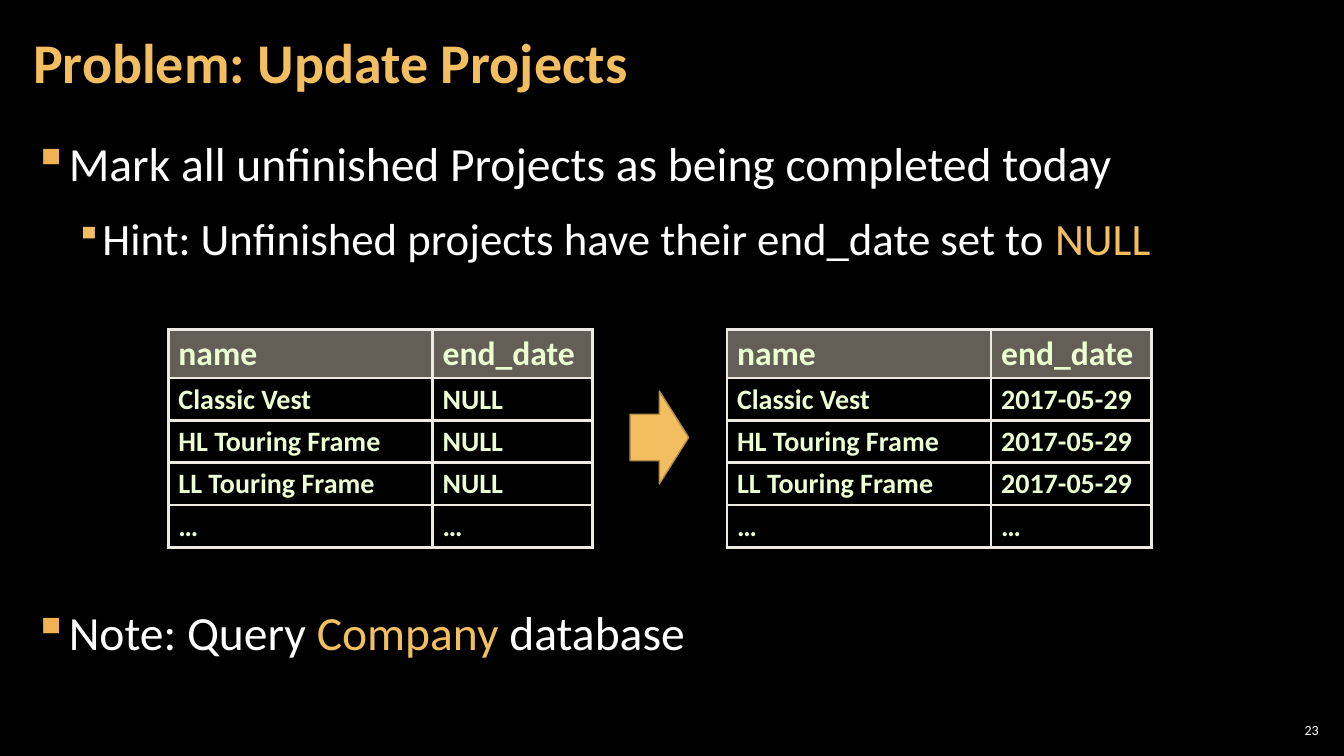
import pptx
import pptx.util
import pptx.dml.color
import pptx.enum.shapes
import pptx.enum.text
import pptx.oxml
import pptx.oxml.ns
from pptx.util import Inches, Pt

FONT = "Calibri"
GOLD, WHITE, PALE = "F3BE60", "FFFFFF", "EBFFD2"
EDGE, HEAD = "ECEAE3", "C7BFAC"
NAMES = ["Classic Vest", "HL Touring Frame", "LL Touring Frame"]


def color(code):
    return pptx.dml.color.RGBColor.from_string(code)


def node(xml):
    """Parse one DrawingML element written with the a: prefix."""
    space = pptx.oxml.ns.nsdecls("a")
    return pptx.oxml.parse_xml(xml.replace(" ", f" {space} ", 1))


def add_run(para, text, size, code, bold=False):
    run = para.add_run()
    run.text = text
    font = run.font
    font.name, font.size, font.bold = FONT, Pt(size), bold
    font.color.rgb = color(code)


def add_box(slide, left, top, width, height, side, anchor):
    box = slide.shapes.add_textbox(
        Inches(left), Inches(top), Inches(width), Inches(height))
    frame = box.text_frame
    frame.word_wrap = True
    frame.vertical_anchor = anchor
    frame.margin_left = frame.margin_right = Inches(side)
    frame.margin_top = frame.margin_bottom = Inches(0.04)
    return frame


def add_point(para, runs, size, before, level=0):
    """Fill a bulleted paragraph with (text, color) runs."""
    left, hang, tint, scale = [
        (0.33, 0.33, "F2B254", 100), (0.67, 0.25, GOLD, 80)][level]
    para.level = level
    para.line_spacing = 1.05
    para.space_before, para.space_after = Pt(before), Pt(6)
    props = para._p.get_or_add_pPr()
    props.set("marL", str(Inches(left)))
    props.set("indent", str(-Inches(hang)))
    props.append(node(f'<a:buClr ><a:srgbClr val="{tint}"/></a:buClr>'))
    props.append(node(f'<a:buSzPct val="{scale * 1000}"/>'))
    props.append(node('<a:buChar char="▪"/>'))
    for text, code in runs:
        add_run(para, text, size, code)


def style_cell(cell, text, top):
    """Write one cell; top marks the header row."""
    para = cell.text_frame.paragraphs[0]
    para.line_spacing = 0.95
    add_run(para, text, 24 if top else 20, PALE, True)
    props = cell._tc.get_or_add_tcPr()
    for side in "LRTB":
        props.append(node(
            f'<a:ln{side} w="{Pt(2.25)}"><a:solidFill>'
            f'<a:srgbClr val="{EDGE}"/></a:solidFill></a:ln{side}>'))
    if top:
        props.append(node(
            f'<a:solidFill ><a:srgbClr val="{HEAD}">'
            '<a:alpha val="50000"/></a:srgbClr></a:solidFill>'))
    else:
        props.append(node("<a:noFill />"))


def add_grid(slide, left, dates):
    rows = [("name", "end_date"), *zip(NAMES, dates), ("…", "…")]
    table = slide.shapes.add_table(
        len(rows), 2, Inches(left), Inches(3.27),
        Inches(4.21), Inches(2.16)).table
    table.horz_banding = False
    for col, width in zip(table.columns, (2.62, 1.59)):
        col.width = Inches(width)
    for i, texts in enumerate(rows):
        table.rows[i].height = Inches(0.42 if i else 0.48)
        for j, text in enumerate(texts):
            style_cell(table.cell(i, j), text, i == 0)


def add_arrow(slide):
    arrow = slide.shapes.add_shape(
        pptx.enum.shapes.MSO_SHAPE.RIGHT_ARROW,
        Inches(6.25), Inches(3.88), Inches(0.58), Inches(0.92))
    arrow.shadow.inherit = False
    arrow.fill.solid()
    arrow.fill.fore_color.rgb = color(GOLD)
    arrow.line.color.rgb = color("B48D47")
    arrow.line.width = Pt(1)


def main():
    deck = pptx.Presentation()
    deck.slide_width, deck.slide_height = Inches(13.33), Inches(7.5)
    slide = deck.slides.add_slide(deck.slide_layouts[6])
    slide.background.fill.solid()
    slide.background.fill.fore_color.rgb = color("000000")
    anchor = pptx.enum.text.MSO_ANCHOR

    title = add_box(slide, 0.21, 0.04, 10.47, 1.21, 0.12, anchor.MIDDLE)
    title.paragraphs[0].line_spacing = 0.9
    add_run(title.paragraphs[0], "Problem: Update Projects", 40, GOLD, True)

    body = add_box(slide, 0.21, 1.26, 12.91, 6.09, 0.12, anchor.TOP)
    add_point(body.paragraphs[0], [
        ("Mark all unfinished Projects as being completed today", WHITE),
    ], 34, 0)
    add_point(body.add_paragraph(), [
        ("Hint: Unfinished projects have their end_date set to ", WHITE),
        ("NULL", GOLD),
    ], 32, 6, level=1)
    add_point(body.add_paragraph(), [
        ("Note: Query ", WHITE), ("Company", GOLD), (" database", WHITE),
    ], 34, 234)

    add_grid(slide, 1.67, ["NULL"] * len(NAMES))
    add_grid(slide, 7.21, ["2017-05-29"] * len(NAMES))
    add_arrow(slide)

    number = add_box(slide, 12.65, 7.14, 0.47, 0.21, 0.04, anchor.MIDDLE)
    number.paragraphs[0].alignment = pptx.enum.text.PP_ALIGN.RIGHT
    add_run(number.paragraphs[0], "23", 10, WHITE)

    deck.save("out.pptx")


if __name__ == "__main__":
    main()
